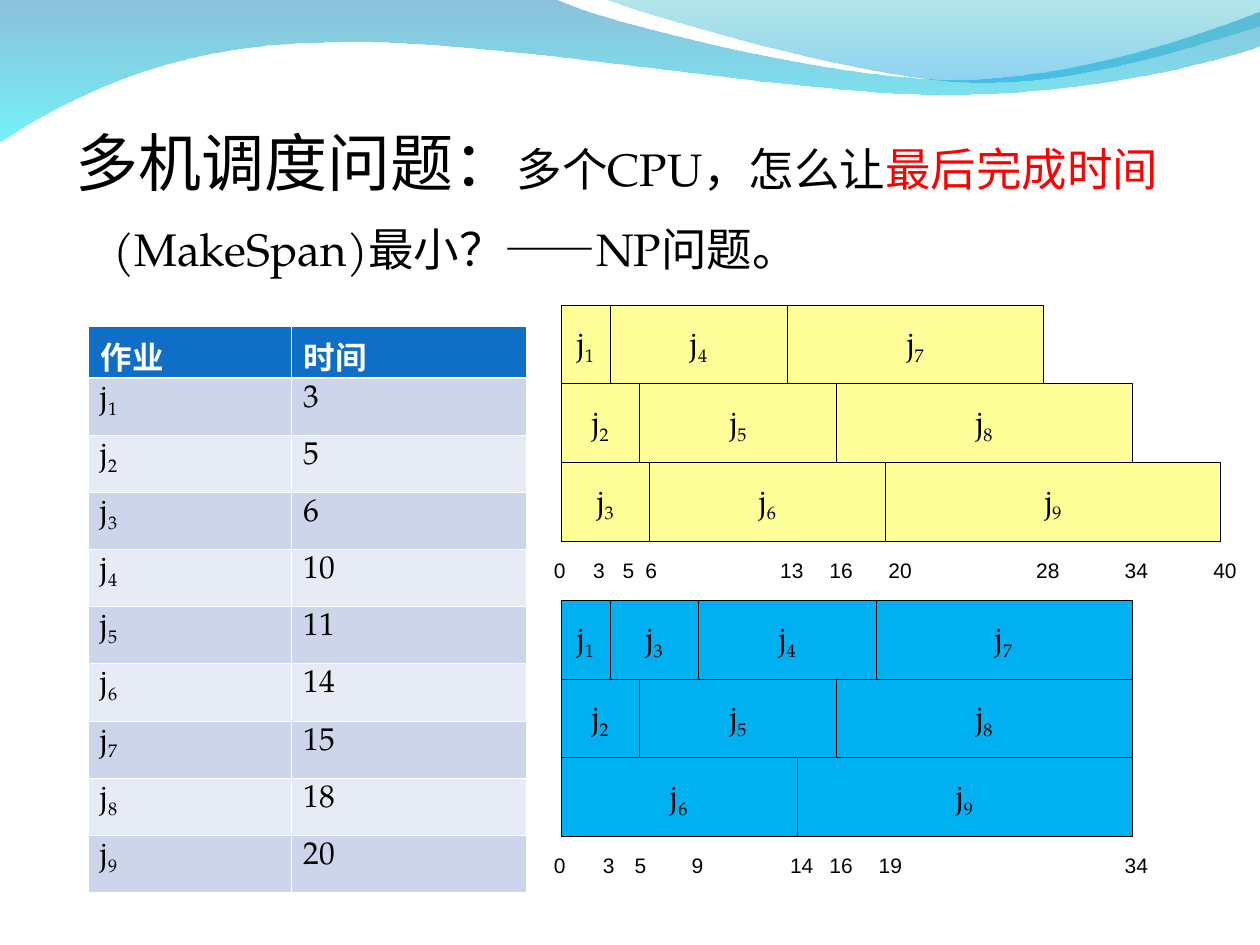
"""Build the multiprocessor scheduling slide: a job table and two schedules."""
from dataclasses import dataclass

from lxml.etree import SubElement
from pptx import Presentation
from pptx.dml.color import RGBColor
from pptx.enum.shapes import MSO_SHAPE
from pptx.enum.text import MSO_ANCHOR, MSO_AUTO_SIZE, PP_ALIGN
from pptx.oxml.ns import qn
from pptx.util import Inches, Pt


@dataclass(frozen=True)
class Theme:
    serif: str = "TeX Gyre Pagella"
    cjk: str = "Noto Sans CJK SC"
    sans: str = "Arial"
    black: str = "000000"
    white: str = "FFFFFF"
    red: str = "FF0000"
    header: str = "0F6FC6"
    bands: tuple = ("CCD5EA", "E7EBF5")
    heading: int = 36
    question: int = 26
    body: int = 18
    tick: int = 12


THEME = Theme()
WIDTH, HEIGHT = 10, 7.5
UNIT = WIDTH / 128

TITLE = [
    ("多机调度问题：", dict(size=THEME.heading, font=THEME.cjk)),
    ("多个CPU，怎么让", {}),
    ("最后完成时间", dict(color=THEME.red)),
    ("(MakeSpan)最小？——NP问题。", {}),
]
HEADINGS = ("作业", "时间")
JOB_TIMES = (3, 5, 6, 10, 11, 14, 15, 18, 20)
BAR_SPANS = dict(enumerate((5, 8, 9, 18, 20, 24, 26, 30, 34), start=1))
SCHEDULES = [
    dict(row=31, color="FFFF99", machines=[(1, 4, 7), (2, 5, 8), (3, 6, 9)],
         ticks=[("0", 55, 4), ("3", 59, 4), ("5\t6", 62, 7), ("13", 78, 5),
                ("16", 83, 5), ("20", 89, 5), ("28", 104, 5), ("34", 113, 5),
                ("40", 122, 5)]),
    dict(row=61, color="00B0F0", machines=[(1, 3, 4, 7), (2, 5, 8), (6, 9)],
         ticks=[("0", 55, 4), ("3", 60, 4), ("5", 63.2, 5.8), ("9", 69, 5),
                ("14", 79, 5), ("16", 83, 5), ("19", 88, 5), ("34", 113, 5)]),
]
FIRST_COLUMN, BAR_ROWS, TICK_ROW = 57, 8, 25

WAVES = [
    dict(colors=[("0079AF", 45), ("00EBF8", 55)], start=(0, -0.01), edges=[
        [(4.4, -0.01)],
        [(4.76, 0.17), (6.64, 0.63), (7.58, 0.63)],
        [(8.53, 0.63), (9.58, 0.26), (10, 0.09)],
        [(10.01, 0.36)],
        [(9.83, 0.44), (8.7, 0.76), (7.46, 0.75)],
        [(6.22, 0.75), (3.82, 0.28), (2.57, 0.34)],
        [(1.29, 0.35), (0.46, 0.83), (-0.01, 1.13)]]),
    dict(colors=[("00ADB6", 30), ("009BE5", 45)], start=(4.79, -0.01), edges=[
        [(5.09, 0.11), (6.82, 0.62), (7.69, 0.65)],
        [(8.56, 0.69), (9.61, 0.32), (10, 0.21)],
        [(10, 0)]]),
]


def rgb(color):
    return RGBColor.from_string(color)


def write(frame, text, align=PP_ALIGN.LEFT, anchor=MSO_ANCHOR.TOP, wrap=True, **base):
    """Write a string or a list of (text, format) runs into a text frame."""
    frame.word_wrap = wrap
    frame.vertical_anchor = anchor
    paragraph = frame.paragraphs[0]
    paragraph.alignment = align
    for words, extra in [(text, {})] if isinstance(text, str) else text:
        style = dict(size=THEME.body, font=THEME.serif, color=THEME.black,
                     bold=False, base=0) | base | extra
        run = paragraph.add_run()
        run.text = words
        run.font.size, run.font.bold = Pt(style["size"]), style["bold"]
        run.font.color.rgb = rgb(style["color"])
        run.font.name = style["font"]
        properties = run.font._element
        SubElement(properties, qn("a:ea"), typeface=THEME.cjk)
        if style["base"]:
            properties.set("baseline", str(style["base"] * 1000))
    return paragraph


def job_name(number):
    return [("j", {}), (str(number), dict(base=-25))]


def bend_edges(outline, edges):
    """Turn each run of three straight segments that stands for a curve into one."""
    segments = iter(list(outline.iter(qn("a:lnTo"))))
    for edge in edges:
        lines = [next(segments) for point in edge]
        if len(lines) == 3:
            curve = SubElement(outline, qn("a:cubicBezTo"))
            lines[0].addprevious(curve)
            for line in lines:
                curve.append(line[0])
                outline.remove(line)


def add_wave(slide, colors, start, edges):
    points = [start] + [point for edge in edges for point in edge]
    mils = [(round(x * 1000), round(y * 1000)) for x, y in points]
    builder = slide.shapes.build_freeform(*mils[0], scale=Inches(1) / 1000)
    builder.add_line_segments(mils[1:], close=True)
    wave = builder.convert_to_shape()
    properties = wave._element.spPr
    bend_edges(next(properties.iter(qn("a:path"))), edges)
    wave.shadow.inherit = False
    wave.line.fill.background()
    wave.fill.gradient()
    wave.fill.gradient_angle = 270
    for stop, (color, opacity) in zip(wave.fill.gradient_stops, colors):
        stop.color.rgb = rgb(color)
    for tint, (color, opacity) in zip(properties.iter(qn("a:srgbClr")), colors):
        SubElement(tint, qn("a:alpha"), val=str(opacity * 1000))


def add_title(slide):
    title = slide.shapes.title
    title.left, title.top, title.width, title.height = map(Inches, (0.5, 0.7, 9, 1.56))
    title.text_frame.auto_size = MSO_AUTO_SIZE.NONE
    title.text_frame.margin_bottom = Inches(0.07)
    paragraph = write(title.text_frame, TITLE, anchor=MSO_ANCHOR.BOTTOM, size=THEME.question)
    paragraph.line_spacing = 1.4
    properties = paragraph._p.get_or_add_pPr()
    properties.set("marL", str(Inches(0.3)))
    properties.set("indent", str(Inches(-0.3)))


def set_borders(cell, **widths):
    properties = cell._tc.get_or_add_tcPr()
    for position, side in enumerate("LRTB"):
        width = Pt(widths.get(side, 0.45))
        border = SubElement(properties, qn(f"a:ln{side}"), w=str(width))
        fill = SubElement(border, qn("a:solidFill"))
        SubElement(fill, qn("a:srgbClr"), val=THEME.white)
        properties.insert(position, border)


def add_job_table(slide):
    rows = [HEADINGS] + [(job_name(i), str(t)) for i, t in enumerate(JOB_TIMES, start=1)]
    height, header_height = 4.48, 0.4
    table = slide.shapes.add_table(len(rows), len(HEADINGS), Inches(0.7), Inches(2.59),
                                   Inches(3.48), Inches(height)).table
    table.horz_banding = False
    for column, width in zip(table.columns, (1.61, 1.87)):
        column.width = Inches(width)
    for r, contents in enumerate(rows):
        header = r == 0
        table.rows[r].height = Inches(
            header_height if header else (height - header_height) / len(JOB_TIMES))
        for c, content in enumerate(contents):
            cell = table.cell(r, c)
            cell.margin_bottom = 0
            cell.fill.solid()
            cell.fill.fore_color.rgb = rgb(THEME.header if header else THEME.bands[(r - 1) % 2])
            set_borders(cell, **({"B": 1.47} if header else {"T": 1.47} if r == 1 else {}))
            write(cell.text_frame, content, bold=header,
                  color=THEME.white if header else THEME.black)


def add_schedule(slide, row, color, machines, ticks):
    for machine, jobs in enumerate(machines):
        column = FIRST_COLUMN
        for job in jobs:
            grid = (column, row + machine * BAR_ROWS, BAR_SPANS[job], BAR_ROWS)
            bar = slide.shapes.add_shape(MSO_SHAPE.RECTANGLE, *(Inches(n * UNIT) for n in grid))
            bar.shadow.inherit = False
            bar.fill.solid()
            bar.fill.fore_color.rgb = rgb(color)
            bar.line.color.rgb = rgb(THEME.black)
            bar.line.width = Pt(0.5)
            write(bar.text_frame, job_name(job), align=PP_ALIGN.CENTER, anchor=MSO_ANCHOR.MIDDLE)
            column += BAR_SPANS[job]
    for time, column, span in ticks:
        label = slide.shapes.add_textbox(Inches(column * UNIT), Inches((row + TICK_ROW) * UNIT),
                                         Inches(span * UNIT), Inches(0.3))
        paragraph = write(label.text_frame, time, wrap="\t" in time,
                          size=THEME.tick, font=THEME.sans)
        if "\t" in time:
            stops = SubElement(paragraph._p.get_or_add_pPr(), qn("a:tabLst"))
            SubElement(stops, qn("a:tab"), pos=str(Inches(0.18)), algn="l")


def main():
    deck = Presentation()
    deck.slide_width, deck.slide_height = Inches(WIDTH), Inches(HEIGHT)
    slide = deck.slides.add_slide(deck.slide_layouts[5])
    for wave in WAVES:
        add_wave(slide, **wave)
    add_title(slide)
    add_job_table(slide)
    for schedule in SCHEDULES:
        add_schedule(slide, **schedule)
    deck.save("out.pptx")


if __name__ == "__main__":
    main()
